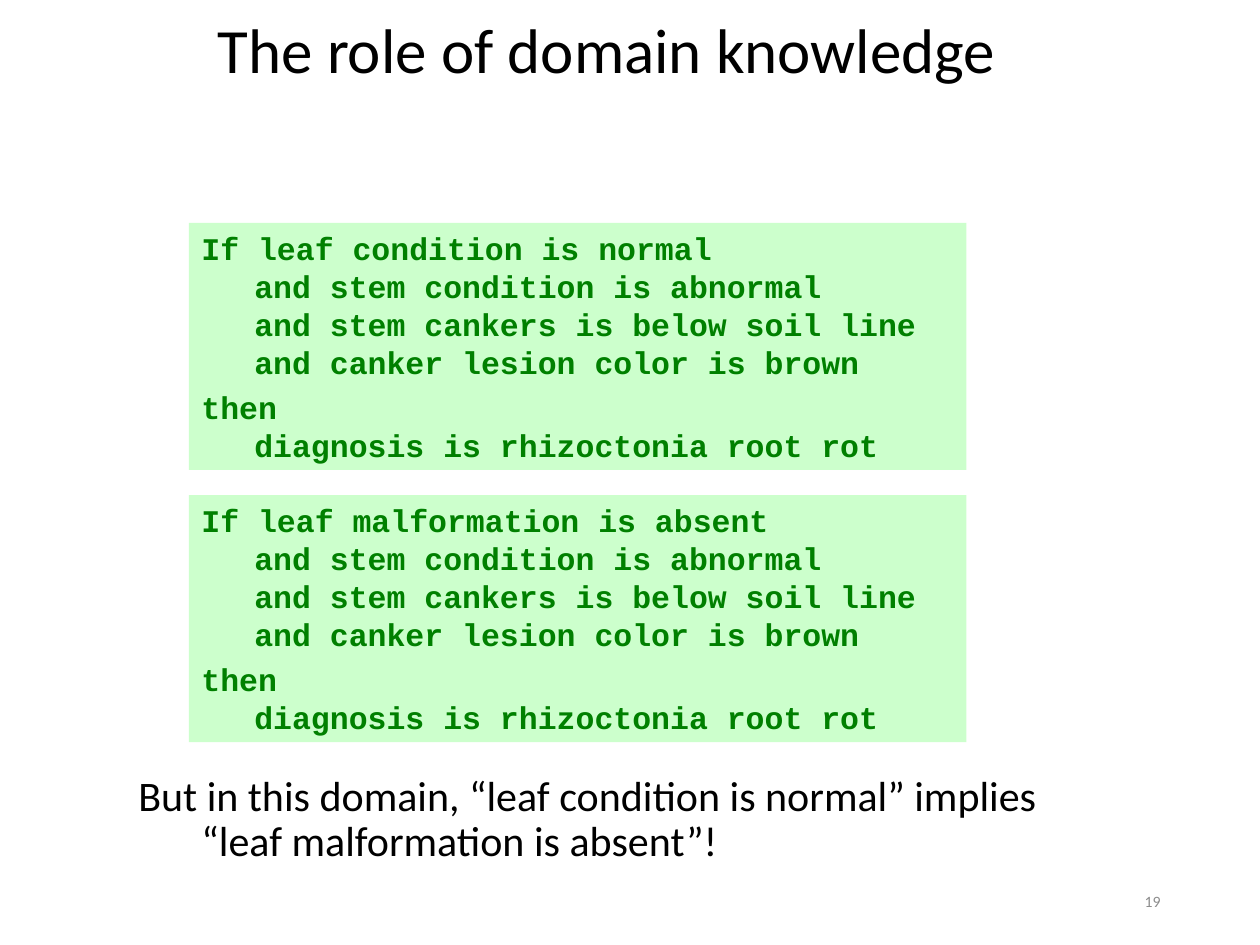
"""Builds the slide on the role of domain knowledge, with two rules."""
from pptx import Presentation
from pptx.dml.color import RGBColor
from pptx.enum.shapes import MSO_SHAPE
from pptx.enum.text import MSO_ANCHOR, PP_ALIGN
from pptx.util import Inches, Pt


def color(code):
    return RGBColor.from_string(code)


def write(para, lines, font, size, code, bold=False, indent=0):
    for i, line in enumerate(lines):
        if i:
            para.add_line_break()
        run = para.add_run()
        run.text = line
        run.font.name = font
        run.font.size = Pt(size)
        run.font.bold = bold
        run.font.color.rgb = color(code)
    para.alignment = PP_ALIGN.LEFT
    if indent:
        props = para._p.get_or_add_pPr()
        props.set("marL", str(Inches(indent)))
        props.set("indent", str(-Inches(indent)))


deck = Presentation()
deck.slide_width = Inches(10)
deck.slide_height = Inches(7.5)
slide = deck.slides.add_slide(deck.slide_layouts[6])
shapes = slide.shapes

number = shapes.add_textbox(Inches(7.06), Inches(6.95), Inches(2.25), Inches(0.4))
frame = number.text_frame
frame.word_wrap = True
frame.vertical_anchor = MSO_ANCHOR.MIDDLE
para = frame.paragraphs[0]
write(para, ["19"], "Calibri", 9, "8C8C8C")
para.alignment = PP_ALIGN.RIGHT

title = shapes.add_textbox(Inches(1.63), Inches(-0.2), Inches(8.37), Inches(1.25))
frame = title.text_frame
frame.word_wrap = True
frame.vertical_anchor = MSO_ANCHOR.MIDDLE
para = frame.paragraphs[0]
para.line_spacing = 0.9
write(para, ["The role of domain knowledge"], "Calibri", 36, "000000")

note = shapes.add_textbox(Inches(1), Inches(6.1), Inches(9), Inches(0.98))
frame = note.text_frame
frame.word_wrap = True
para = frame.paragraphs[0]
para.line_spacing = 0.9
para.space_before = Pt(6)
lines = [
    "But in this domain, “leaf condition is normal” implies",
    "“leaf malformation is absent”!",
]
write(para, lines, "Calibri", 24, "000000", indent=0.5)

tests = [
    "and stem condition is abnormal",
    "and stem cankers is below soil line",
    "and canker lesion color is brown",
]
result = ["then", "diagnosis is rhizoctonia root rot"]
heads = ["If leaf condition is normal", "If leaf malformation is absent"]

for i, head in enumerate(heads):
    top = Inches(1.77 + 2.16 * i)
    rule = shapes.add_shape(
        MSO_SHAPE.RECTANGLE, Inches(1.5), top, Inches(6.17), Inches(1.96))
    rule.shadow.inherit = False
    rule.fill.solid()
    rule.fill.fore_color.rgb = color("CCFFCC")
    rule.line.fill.background()
    frame = rule.text_frame
    frame.word_wrap = True
    frame.vertical_anchor = MSO_ANCHOR.TOP
    for j, lines in enumerate([[head] + tests, result]):
        para = frame.add_paragraph() if j else frame.paragraphs[0]
        para.space_before = Pt(4.5)
        write(para, lines, "Courier New", 18, "008000", True, 0.42)

deck.save("out.pptx")
